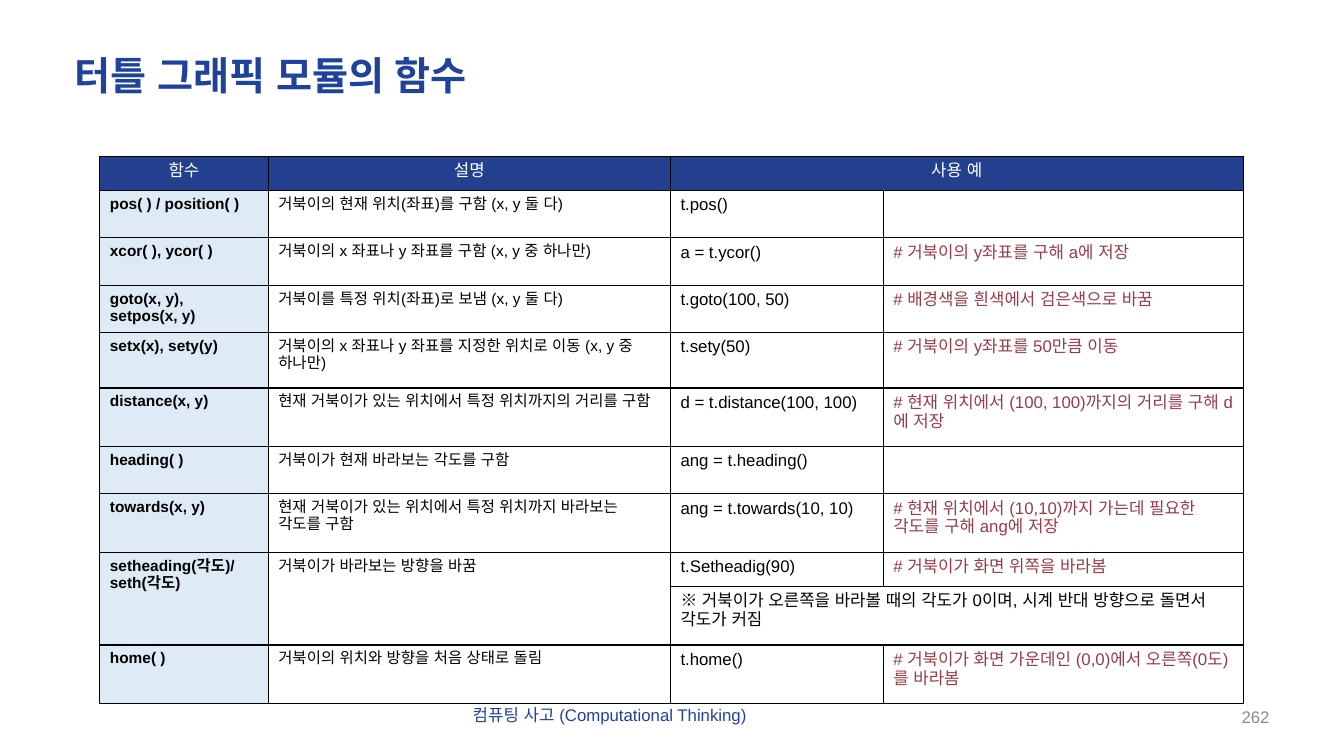
from dataclasses import dataclass
from lxml import etree
from pptx import Presentation
from pptx.dml.color import RGBColor
from pptx.enum.lang import MSO_LANGUAGE_ID
from pptx.enum.text import MSO_ANCHOR, MSO_AUTO_SIZE, PP_ALIGN
from pptx.oxml.ns import qn
from pptx.util import Inches, Pt

KOREAN = MSO_LANGUAGE_ID.KOREAN
MIDDLE = MSO_ANCHOR.MIDDLE
NO_FIT = MSO_AUTO_SIZE.NONE
LEFT, CENTER, RIGHT = PP_ALIGN.LEFT, PP_ALIGN.CENTER, PP_ALIGN.RIGHT


@dataclass(frozen=True)
class Theme:
    font: str = "Arial"
    title: str = "1F439B"
    foot: str = "21439B"
    page: str = "8C8C8C"
    head: str = "22408E"
    name: str = "DEEBF7"
    white: str = "FFFFFF"
    black: str = "000000"
    note: str = "953D46"
    big: int = 28
    base: int = 12
    small: int = 11


theme = Theme()


def style(frame, size, color, bold=False, align=LEFT):
    for para in frame.paragraphs:
        para.alignment = align
        for run in para.runs:
            run.font.name = theme.font
            run.font.size = Pt(size)
            run.font.bold = bold
            run.font.language_id = KOREAN
            run.font.color.rgb = RGBColor.from_string(color)
            etree.SubElement(run._r.get_or_add_rPr(), qn("a:ea"), typeface=theme.font)


def paint(cell, color):
    props = cell._tc.get_or_add_tcPr()
    for side in ("lnL", "lnR", "lnT", "lnB"):
        line = etree.SubElement(props, qn(f"a:{side}"), w=str(Pt(1)))
        fill = etree.SubElement(line, qn("a:solidFill"))
        etree.SubElement(fill, qn("a:srgbClr"), val=theme.black)
    cell.fill.solid()
    cell.fill.fore_color.rgb = RGBColor.from_string(color)


deck = Presentation()
deck.slide_width, deck.slide_height = Inches(13.33), Inches(7.5)
slide = deck.slides.add_slide(deck.slide_layouts[5])

title = slide.shapes.title
title.left, title.top = Inches(0.64), Inches(0.51)
title.width, title.height = Inches(12.05), Inches(0.53)
frame = title.text_frame
frame.text = "터틀 그래픽 모듈의 함수"
frame.auto_size = NO_FIT
frame.vertical_anchor = MIDDLE
frame.paragraphs[0].line_spacing = 0.9
style(frame, theme.big, theme.title, True)

page = slide.shapes.add_textbox(Inches(9.69), Inches(6.98), Inches(3), Inches(0.26))
page.text_frame.text = "262"
page.text_frame.word_wrap = True
page.text_frame.vertical_anchor = MIDDLE
style(page.text_frame, theme.base, theme.page, align=RIGHT)

foot = slide.shapes.add_textbox(Inches(4.59), Inches(6.94), Inches(3.27), Inches(0.3))
foot.text_frame.text = "컴퓨팅 사고 (Computational Thinking)"
foot.text_frame.word_wrap = False
style(foot.text_frame, theme.base, theme.foot)

rows = [
    ("함수", "설명", "사용 예", ""),
    ("pos( ) / position( )", "거북이의 현재 위치(좌표)를 구함 (x, y 둘 다)", "t.pos()", ""),
    ("xcor( ), ycor( )", "거북이의 x 좌표나 y 좌표를 구함 (x, y 중 하나만)",
     "a = t.ycor()", "# 거북이의 y좌표를 구해 a에 저장"),
    ("goto(x, y),\vsetpos(x, y)", "거북이를 특정 위치(좌표)로 보냄 (x, y 둘 다)",
     "t.goto(100, 50)", "# 배경색을 흰색에서 검은색으로 바꿈"),
    ("setx(x), sety(y)", "거북이의 x 좌표나 y 좌표를 지정한 위치로 이동 (x, y 중 하나만)",
     "t.sety(50)", "# 거북이의 y좌표를 50만큼 이동"),
    ("distance(x, y)", "현재 거북이가 있는 위치에서 특정 위치까지의 거리를 구함",
     "d = t.distance(100, 100)", "# 현재 위치에서 (100, 100)까지의 거리를 구해 d에 저장"),
    ("heading( )", "거북이가 현재 바라보는 각도를 구함", "ang = t.heading()", ""),
    ("towards(x, y)", "현재 거북이가 있는 위치에서 특정 위치까지 바라보는 각도를 구함",
     "ang = t.towards(10, 10)", "# 현재 위치에서 (10,10)까지 가는데 필요한 각도를 구해 ang에 저장"),
    ("setheading(각도)/\nseth(각도)", "거북이가 바라보는 방향을 바꿈",
     "t.Setheadig(90)", "# 거북이가 화면 위쪽을 바라봄"),
    ("", "", "※ 거북이가 오른쪽을 바라볼 때의 각도가 0이며, 시계 반대 방향으로 돌면서 각도가 커짐", ""),
    ("home( )", "거북이의 위치와 방향을 처음 상태로 돌림",
     "t.home()", "# 거북이가 화면 가운데인 (0,0)에서 오른쪽(0도)를 바라봄"),
]
wides = [1.67, 3.99, 2.11, 3.57]
highs = [0.34, 0.47, 0.47, 0.47, 0.55, 0.58, 0.47, 0.58, 0.34, 0.58, 0.58]
looks = [
    (theme.small, theme.black, True),
    (theme.small, theme.black, False),
    (theme.base, theme.black, False),
    (theme.base, theme.note, False),
]

grid = slide.shapes.add_table(len(rows), len(wides), Inches(0.99), Inches(1.55),
                              Inches(sum(wides)), Inches(sum(highs))).table
grid.first_row = grid.horz_banding = False
for col, wide in zip(grid.columns, wides):
    col.width = Inches(wide)
for row, high in zip(grid.rows, highs):
    row.height = Inches(high)

for r, texts in enumerate(rows):
    for c, text in enumerate(texts):
        cell = grid.cell(r, c)
        cell.text_frame.text = text
        if r == 0:
            paint(cell, theme.head)
            style(cell.text_frame, theme.base, theme.white, align=CENTER)
        else:
            paint(cell, theme.name if c == 0 else theme.white)
            style(cell.text_frame, *looks[c])

for top, left, low, right in [(0, 2, 0, 3), (8, 0, 9, 0), (8, 1, 9, 1), (9, 2, 9, 3)]:
    grid.cell(top, left).merge(grid.cell(low, right))

deck.save("out.pptx")
